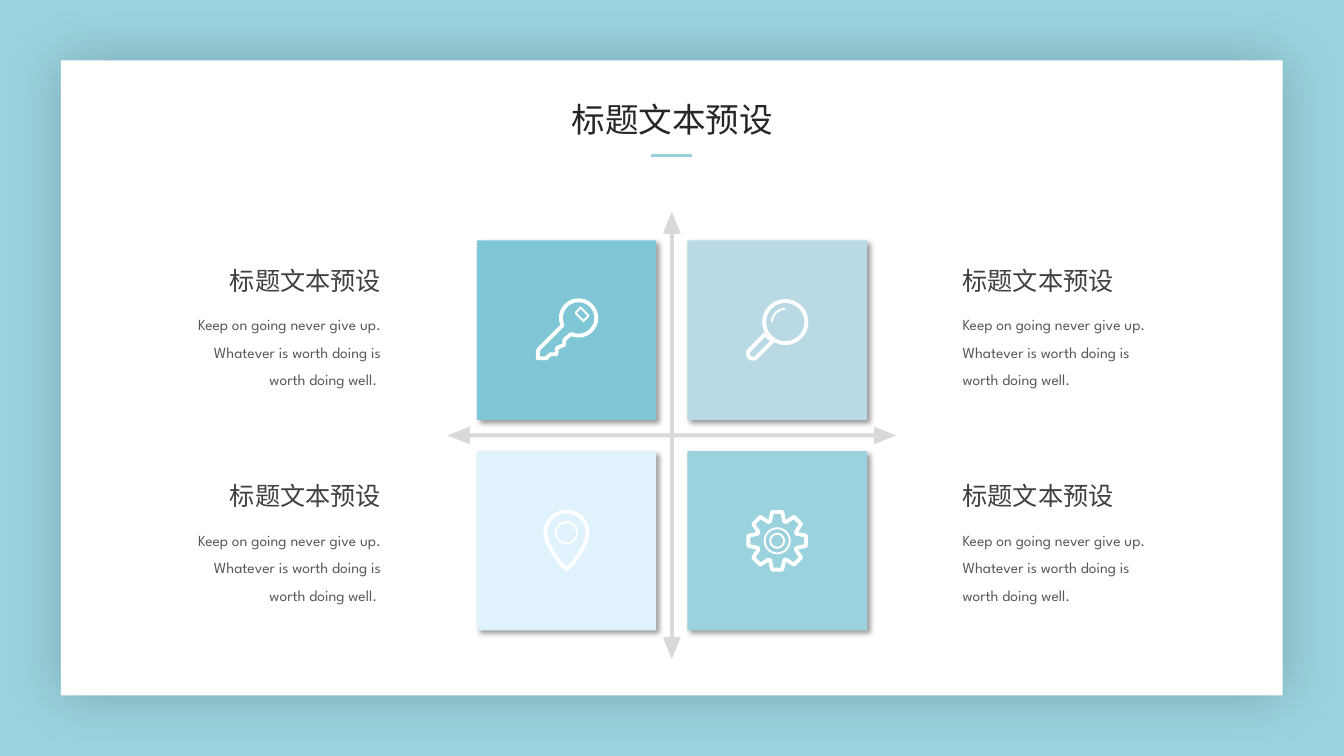
from math import cos, radians, sin

from lxml import etree
from pptx import Presentation
from pptx.dml.color import RGBColor
from pptx.enum.shapes import MSO_CONNECTOR, MSO_SHAPE
from pptx.enum.text import MSO_AUTO_SIZE, PP_ALIGN
from pptx.oxml.ns import qn
from pptx.util import Inches, Pt

RECTANGLE, OVAL, QUAD_ARROW = MSO_SHAPE.RECTANGLE, MSO_SHAPE.OVAL, MSO_SHAPE.QUAD_ARROW
STRAIGHT = MSO_CONNECTOR.STRAIGHT
FIT = MSO_AUTO_SIZE.SHAPE_TO_FIT_TEXT
LEFT, CENTER, RIGHT = PP_ALIGN.LEFT, PP_ALIGN.CENTER, PP_ALIGN.RIGHT

CELL = Inches(0.1)
COLUMNS, ROWS = 133.33, 75
WHITE, TEAL = "FFFFFF", "9AD3DE"
HEAVY, THIN = 2.75, 1.4
CJK_FONT = "Noto Sans CJK SC"

HEADING = "标题文本预设"
MESSAGE = "Keep on going never give up. Whatever is worth doing is worth doing well."
TITLE_FORMAT = {"size": Pt(24), "name": CJK_FONT}
HEADING_FORMAT = {"size": Pt(18), "name": "League Spartan"}
MESSAGE_FORMAT = {"size": Pt(11), "name": "League Spartan"}
PANEL_SHADOW = {"alpha": 20, "blur": 40, "distance": 0, "angle": 0}
TILE_SHADOW = {"alpha": 40, "blur": 4, "distance": 3, "angle": 45}


def cells(*counts):
    return [round(count * CELL) for count in counts]


def rgb(hex_color):
    return RGBColor.from_string(hex_color)


def arc(x, y, radius, start, end, steps=24):
    """Points on a circle, with angles in degrees clockwise from the right."""
    angles = [radians(start + (end - start) * i / steps) for i in range(steps + 1)]
    return [(x + radius * cos(a), y + radius * sin(a)) for a in angles]


class MatrixSlide:
    """One slide measured in grid cells of a tenth of an inch."""

    def __init__(self):
        self.deck = Presentation()
        self.deck.slide_width, self.deck.slide_height = cells(COLUMNS, ROWS)
        self.slide = self.deck.slides.add_slide(self.deck.slide_layouts[6])
        self.shapes = self.slide.shapes
        self.slide.background.fill.solid()
        self.slide.background.fill.fore_color.rgb = rgb(TEAL)

    def block(self, kind, box, color, shadow=None, adjustments=()):
        shape = self.shapes.add_shape(kind, *cells(*box))
        for index, value in enumerate(adjustments):
            shape.adjustments[index] = value
        shape.fill.solid()
        shape.fill.fore_color.rgb = rgb(color)
        shape.line.fill.background()
        shape.shadow.inherit = False
        if shadow:
            self.cast_shadow(shape, **shadow)

    def cast_shadow(self, shape, alpha, blur, distance, angle):
        effects = shape.element.spPr.find(qn("a:effectLst"))
        outer = etree.SubElement(
            effects, qn("a:outerShdw"), blurRad=str(Pt(blur)), dist=str(Pt(distance)),
            dir=str(angle * 60000), algn="ctr", rotWithShape="0")
        color = etree.SubElement(outer, qn("a:srgbClr"), val="000000")
        etree.SubElement(color, qn("a:alpha"), val=str(alpha * 1000))

    def stroke(self, shape, weight):
        shape.fill.background()
        shape.line.color.rgb = rgb(WHITE)
        shape.line.width = Pt(weight)
        etree.SubElement(shape.line.fill._xPr, qn("a:round"))
        shape.shadow.inherit = False

    def ring(self, center, offset, radius, weight):
        x, y = (c + o for c, o in zip(center, offset))
        box = cells(x - radius, y - radius, 2 * radius, 2 * radius)
        self.stroke(self.shapes.add_shape(OVAL, *box), weight)

    def outline(self, center, offsets, weight, close=True):
        points = [cells(center[0] + x, center[1] + y) for x, y in offsets]
        builder = self.shapes.build_freeform(*points[0], scale=1.0)
        builder.add_line_segments(points[1:], close=close)
        self.stroke(builder.convert_to_shape(), weight)

    def text(self, words, box, color, font, align, spacing=None, wrap=True):
        frame = self.shapes.add_textbox(*cells(*box)).text_frame
        frame.word_wrap = wrap
        frame.auto_size = FIT
        paragraph = frame.paragraphs[0]
        paragraph.alignment = align
        paragraph.line_spacing = spacing
        run = paragraph.add_run()
        run.text = words
        for name, value in font.items():
            setattr(run.font, name, value)
        run.font.color.rgb = rgb(color)
        latin = run.font._element.find(qn("a:latin"))
        latin.addnext(latin.makeelement(qn("a:ea"), {"typeface": CJK_FONT}))

    def rule(self, start, end, color, weight):
        line = self.shapes.add_connector(STRAIGHT, *cells(*start, *end))
        line.line.color.rgb = rgb(color)
        line.line.width = Pt(weight)
        etree.SubElement(line.element.spPr, qn("a:effectLst"))


def draw_key(page, center):
    teeth = [(-0.4, -0.45), (-2.8, 1.95), (-2.85, 2.8), (-2, 2.8), (-1.6, 2.4), (-1, 2.4),
             (-0.95, 1.8), (-0.7, 1.65), (-0.25, 1.5), (-0.2, 0.95), (0.45, 0.4)]
    page.outline(center, teeth + arc(1.2, -1.2, 1.75, 115, -205, 48), HEAVY)
    page.outline(center, [(0.9, -1.7), (1.4, -2.25), (2.2, -1.45), (1.7, -0.9)], THIN)


def draw_magnifier(page, center):
    page.ring(center, (0.8, -0.8), 2.1, HEAVY)
    handle = [(-1.2, 0.4), *arc(-2.4, 2.35, 0.5, 225, 45), (-0.45, 1.1)]
    page.outline(center, handle, HEAVY)
    page.outline(center, arc(0.8, -0.8, 1.3, 180, 270), THIN, close=False)


def draw_pin(page, center):
    right_side = [(1.95, 0), (1.4, 1.1), (0.7, 2.1)]
    left_side = [(-x, y) for x, y in reversed(right_side)]
    head = arc(0, -0.8, 2.1, 180, 360, 36)
    page.outline(center, head + right_side + [(0, 2.85)] + left_side, HEAVY)
    page.ring(center, (0, -0.8), 1.05, THIN)


def draw_gear(page, center):
    tooth = [(-20, 2.05), (-10, 2.9), (10, 2.9), (20, 2.05)]
    rim = [(radius * cos(radians(turn + angle)), radius * sin(radians(turn + angle)))
           for turn in range(0, 360, 45) for angle, radius in tooth]
    page.outline(center, rim, HEAVY)
    for radius in (1.25, 0.7):
        page.ring(center, (0, 0), radius, THIN)


def main():
    page = MatrixSlide()
    page.block(RECTANGLE, (6.05, 6, 121.2, 63), WHITE, PANEL_SHADOW)
    page.block(QUAD_ARROW, (44.4, 21, 44.5, 44.4), "D9D9D9", adjustments=(0.009, 0.02, 0.05))

    side, pitch = 17.8, 20.9
    tiles = [("7FC7D6", draw_key), ("B9D9E5", draw_magnifier),
             ("E0F2FC", draw_pin), (TEAL, draw_gear)]
    for index, (color, draw_icon) in enumerate(tiles):
        row, column = divmod(index, 2)
        left, top = 47.3 + column * pitch, 23.85 + row * pitch
        page.block(RECTANGLE, (left, top, side, side), color, TILE_SHADOW)
        draw_icon(page, (left + side / 2, top + side / 2))

    captions = [(20.2, 17, RIGHT, MESSAGE + " "), (94.5, 94.5, LEFT, MESSAGE)]
    for heading_left, message_left, align, message in captions:
        for top in (25.8, 47.2):
            page.text(HEADING, (heading_left, top, 18.6, 4), "404040", HEADING_FORMAT, align)
            page.text(message, (message_left, top + 4.05, 21.8, 9.3), "595959",
                      MESSAGE_FORMAT, align, spacing=1.5)

    page.text(HEADING, (55.6, 9.3, 22.2, 5), "262626", TITLE_FORMAT, CENTER, wrap=False)
    page.rule((64.6, 15.45), (68.7, 15.45), "99D2DD", 2.25)
    page.deck.save("out.pptx")


if __name__ == "__main__":
    main()
